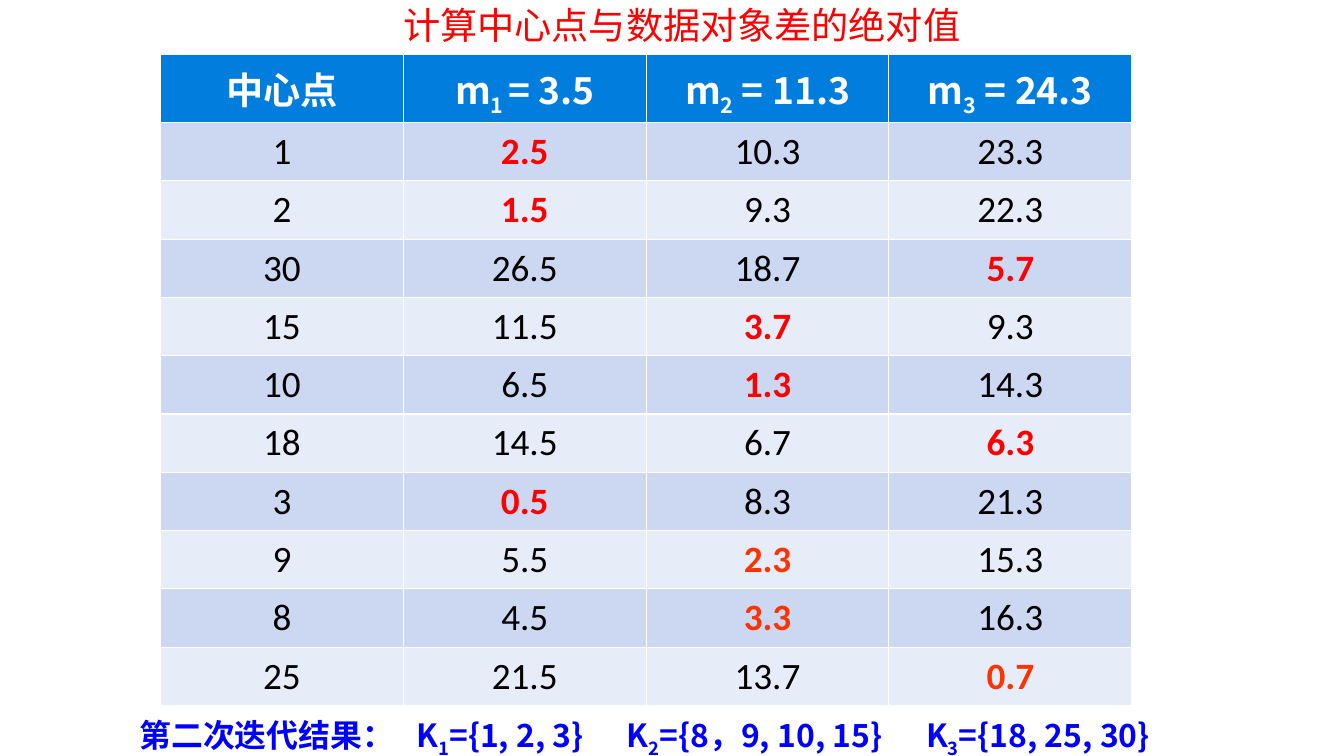
from dataclasses import dataclass

from lxml.etree import SubElement
from pptx import Presentation
from pptx.dml.color import RGBColor
from pptx.enum.text import MSO_ANCHOR, PP_ALIGN
from pptx.oxml.ns import qn
from pptx.slide import Slide
from pptx.util import Inches, Pt

COLORS = {
    "title": "FF0000",
    "header": "007DDD",
    "header_text": "FFFFFF",
    "odd_row": "CCD7F2",
    "even_row": "E7ECF9",
    "value": "000000",
    "nearest": "FF0000",
    "nearest_late": "FF3300",
    "result": "0000FF",
}
CHINESE_FONT = "Noto Sans CJK SC"
LATIN_FONT = "Calibri"
CENTERS = [3.5, 11.3, 24.3]
OBJECTS = [1, 2, 30, 15, 10, 18, 3, 9, 8, 25]
LATE_OBJECTS = {9, 8, 25}
HEADERS = ["中心点", "m_1 _= 3.5", "m_2_ = 11.3", "m_3_ = 24.3"]
RESULT = "第二次迭代结果：\tK_1_={1, 2, 3}\tK_2_={8，9, 10, 15}\tK_3_={18, 25, 30}"
RESULT_TABS = [2.9, 5.1, 8.23]


@dataclass(frozen=True)
class TextStyle:
    color: str
    size: int = 28
    font: str = LATIN_FONT
    bold: bool = False


@dataclass(frozen=True)
class CellStyle:
    text: TextStyle
    fill: str
    bottom_margin: float = 0.06


def rgb(name: str) -> RGBColor:
    return RGBColor.from_string(COLORS[name])


def write_text(paragraph, text: str, style: TextStyle) -> None:
    for index, part in enumerate(text.split("_")):
        run = paragraph.add_run()
        run.text = part
        if index % 2:
            run.font._element.set("baseline", "-25000")
    font = paragraph.font
    font.size = Pt(style.size)
    font.bold = style.bold
    font.color.rgb = rgb(style.color)
    font.name = style.font
    SubElement(font._element, qn("a:ea"), typeface=CHINESE_FONT)


def write_cell(cell, text: str, style: CellStyle) -> None:
    cell.fill.solid()
    cell.fill.fore_color.rgb = rgb(style.fill)
    cell.margin_left = cell.margin_right = Inches(0.14)
    cell.margin_top = Inches(0.07)
    cell.margin_bottom = Inches(style.bottom_margin)
    paragraph = cell.text_frame.paragraphs[0]
    paragraph.alignment = PP_ALIGN.CENTER
    write_text(paragraph, text, style.text)


def add_title(slide: Slide) -> None:
    title = slide.shapes.title
    title.left, title.top = Inches(4.12), Inches(0.02)
    title.width, title.height = Inches(6.09), Inches(0.57)
    frame = title.text_frame
    frame.word_wrap = False
    frame.vertical_anchor = MSO_ANCHOR.TOP
    frame.margin_top = frame.margin_bottom = 0
    paragraph = frame.paragraphs[0]
    paragraph.alignment = PP_ALIGN.LEFT
    write_text(paragraph, "计算中心点与数据对象差的绝对值", TextStyle("title", font=CHINESE_FONT))


def add_distance_table(slide: Slide) -> None:
    table = slide.shapes.add_table(
        len(OBJECTS) + 1, len(HEADERS),
        Inches(1.68), Inches(0.57), Inches(10.16), Inches(6.76),
    ).table
    for column in table.columns:
        column.width = Inches(2.54)
    for row in table.rows:
        row.height = Inches(0.61)
    table.rows[0].height = Inches(0.66)

    for column, header in enumerate(HEADERS):
        font = CHINESE_FONT if column else LATIN_FONT
        header_text = TextStyle("header_text", font=font, bold=True)
        write_cell(table.cell(0, column), header, CellStyle(header_text, "header", 0.03))

    for row, value in enumerate(OBJECTS, start=1):
        fill = "odd_row" if row % 2 else "even_row"
        plain = CellStyle(TextStyle("value"), fill)
        nearest_color = "nearest_late" if value in LATE_OBJECTS else "nearest"
        nearest = CellStyle(TextStyle(nearest_color, bold=True), fill)
        write_cell(table.cell(row, 0), str(value), plain)
        distances = [abs(value - center) for center in CENTERS]
        for column, distance in enumerate(distances, start=1):
            style = nearest if distance == min(distances) else plain
            write_cell(table.cell(row, column), f"{distance:.1f}", style)


def add_result(slide: Slide) -> None:
    box = slide.shapes.add_textbox(Inches(1.36), Inches(7.26), Inches(12.17), Inches(0.64))
    frame = box.text_frame
    frame.word_wrap = True
    frame.margin_top = frame.margin_bottom = 0
    paragraph = frame.paragraphs[0]
    paragraph.line_spacing = 1.5
    tabs = SubElement(paragraph._p.get_or_add_pPr(), qn("a:tabLst"))
    for position in RESULT_TABS:
        SubElement(tabs, qn("a:tab"), pos=str(Inches(position)), algn="l")
    write_text(paragraph, RESULT, TextStyle("result", 24, CHINESE_FONT, True))


def main() -> None:
    presentation = Presentation()
    presentation.slide_width = Inches(14.06)
    presentation.slide_height = Inches(7.91)
    slide = presentation.slides.add_slide(presentation.slide_layouts[5])
    add_title(slide)
    add_distance_table(slide)
    add_result(slide)
    presentation.save("out.pptx")


if __name__ == "__main__":
    main()
